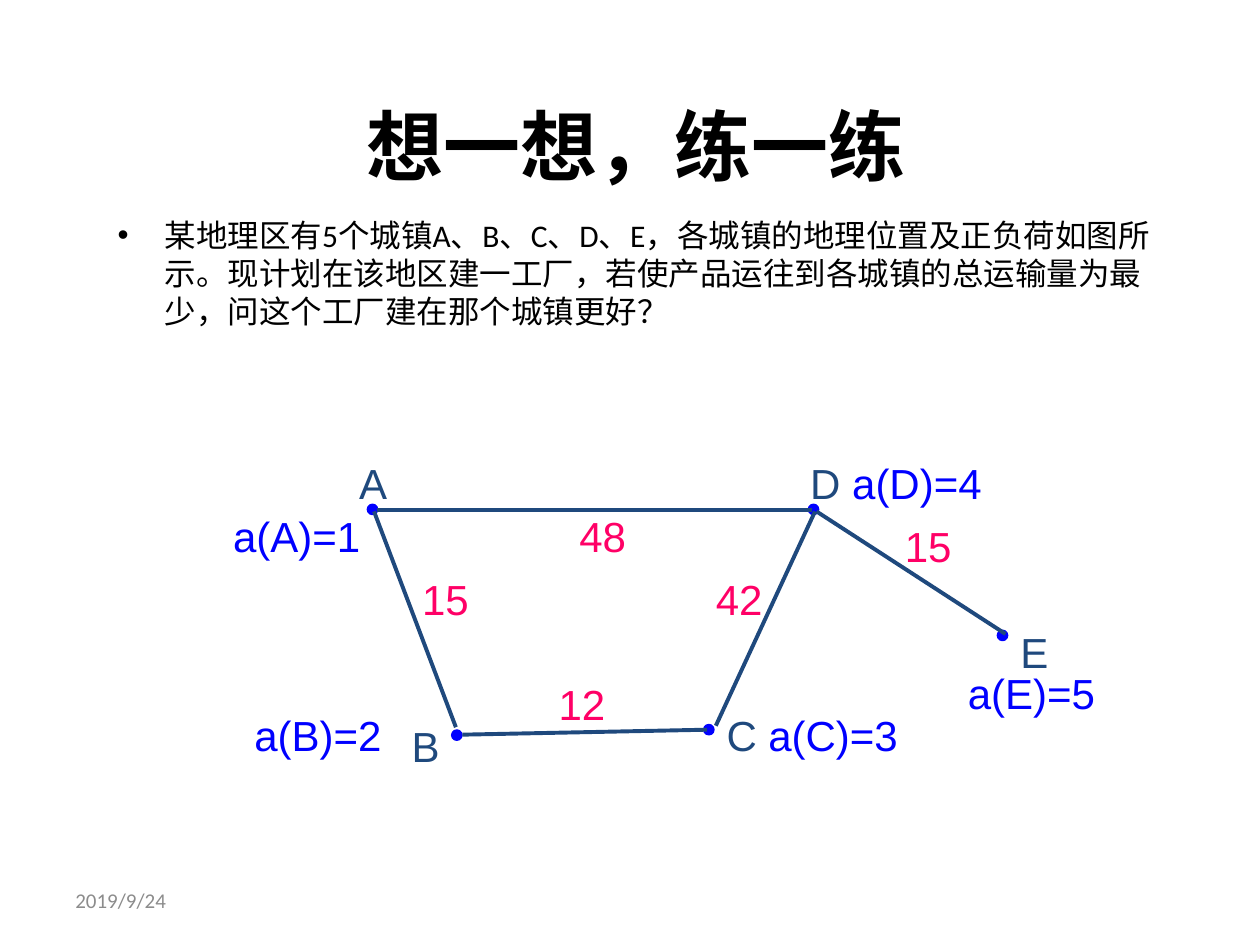
"""Build a slide with a weighted town network exercise."""
from lxml.etree import SubElement
from pptx import Presentation
from pptx.dml.color import RGBColor
from pptx.enum.shapes import MSO_CONNECTOR, MSO_SHAPE
from pptx.enum.text import MSO_ANCHOR, PP_ALIGN
from pptx.oxml.ns import qn
from pptx.util import Cm, Pt

BLACK = RGBColor(0, 0, 0)
GRAY = RGBColor(0x8C, 0x8C, 0x8C)
BLUE = RGBColor(0, 0, 0xFF)
NAVY = RGBColor(0x1F, 0x49, 0x7D)
PINK = RGBColor(0xFF, 0, 0x66)
HAN = "Noto Sans CJK SC"

TITLE = "想一想，练一练"
TASK = ("某地理区有5个城镇A、B、C、D、E，各城镇的地理位置及正负荷如图所示。"
        "现计划在该地区建一工厂，若使产品运往到各城镇的总运输量为最少，"
        "问这个工厂建在那个城镇更好？")
DATE = "2019/9/24"

# name, load, dot centre, name corner, load corner
TOWNS = [
    ("A", 1, (7.51, 10.27), (6.99, 9.1), (4.45, 10.16)),
    ("B", 2, (9.21, 14.82), (8.05, 14.4), (4.88, 14.18)),
    ("C", 3, (14.29, 14.71), (14.4, 14.18), (15.24, 14.18)),
    ("D", 4, (16.4, 10.27), (16.08, 9.1), (16.93, 9.1)),
    ("E", 5, (20.21, 12.81), (20.32, 12.5), (19.26, 13.34)),
]
ROADS = [
    (48, (7.59, 10.29), (16.36, 10.29), (11.43, 10.16)),
    (15, (9.19, 14.66), (7.54, 10.31), (8.26, 11.43)),
    (15, (20.27, 12.78), (16.46, 10.31), (17.99, 10.37)),
    (42, (16.43, 10.31), (14.43, 14.63), (14.18, 11.43)),
    (12, (9.32, 14.81), (14.25, 14.71), (11.01, 13.55)),
]
DOT = 0.21

deck = Presentation()
deck.slide_width, deck.slide_height = Cm(25.4), Cm(19.05)
slide = deck.slides.add_slide(deck.slide_layouts[6])
shapes = slide.shapes


def write(text, spot, size, pt=24, color=BLACK, font="Arial", bold=False,
          align=PP_ALIGN.LEFT, anchor=MSO_ANCHOR.TOP):
    box = shapes.add_textbox(*(Cm(n) for n in spot + size))
    frame = box.text_frame
    frame.word_wrap = True
    frame.vertical_anchor = anchor
    para = frame.paragraphs[0]
    para.alignment = align
    run = para.add_run()
    run.text = text
    face = run.font
    face.name, face.size, face.bold = font, Pt(pt), bold
    face.color.rgb = color
    SubElement(face._element, qn("a:ea")).set("typeface", HAN)
    return para


write(TITLE, (2.12, 1.32), (21.41, 3.18), pt=44, font=HAN, bold=True,
      align=PP_ALIGN.CENTER, anchor=MSO_ANCHOR.MIDDLE)
task = write(TASK, (2.12, 4.23), (21.41, 5.08), pt=18, font="Calibri")
task.line_spacing = Pt(21.7)
props = task._p.get_or_add_pPr()
props.set("marL", str(Cm(0.95)))
props.set("indent", str(Cm(-0.95)))
SubElement(props, qn("a:buFont")).set("typeface", "Arial")
SubElement(props, qn("a:buChar")).set("char", "•")

for name, load, (x, y), spot, side in TOWNS:
    dot = shapes.add_shape(MSO_SHAPE.OVAL, Cm(x - DOT / 2), Cm(y - DOT / 2),
                           Cm(DOT), Cm(DOT))
    dot.shadow.inherit = False
    dot.fill.solid()
    dot.fill.fore_color.rgb = BLUE
    dot.line.color.rgb = BLUE
    dot.line.width = Pt(0.75)
    write(name, spot, (1.48, 1.27), color=NAVY)
    write(f"a({name})={load}", side, (3.39, 1.27), color=BLUE)

for cost, start, end, spot in ROADS:
    road = shapes.add_connector(MSO_CONNECTOR.STRAIGHT,
                                *(Cm(n) for n in start + end))
    road.line.color.rgb = NAVY
    road.line.width = Pt(2.25)
    SubElement(road._element.spPr, qn("a:effectLst"))
    write(str(cost), spot, (1.9, 1.27), color=PINK)

write(DATE, (1.27, 17.65), (5.93, 1.01), pt=12, color=GRAY, font="Calibri",
      anchor=MSO_ANCHOR.MIDDLE)
deck.save("out.pptx")
